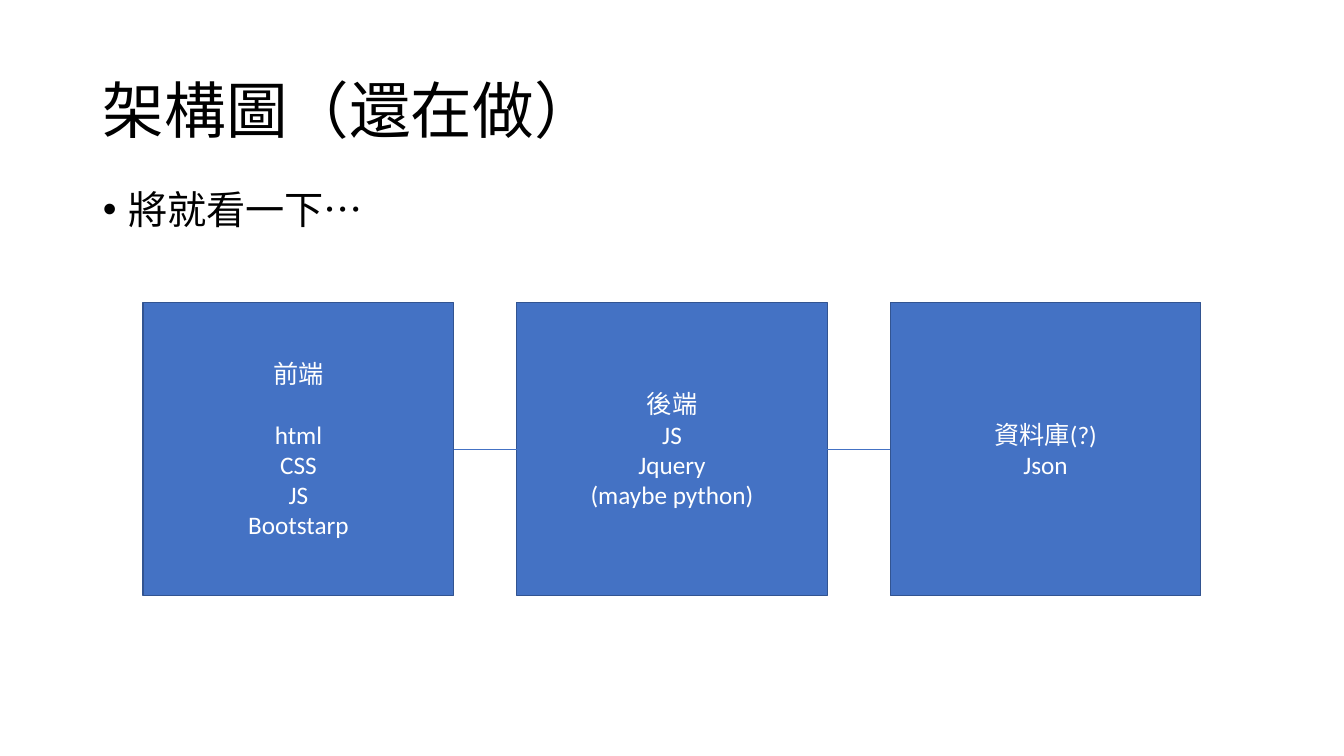
from lxml import etree
from pptx import Presentation
from pptx.dml.color import RGBColor
from pptx.enum.shapes import MSO_CONNECTOR, MSO_SHAPE
from pptx.enum.text import MSO_ANCHOR, PP_ALIGN
from pptx.oxml.ns import qn
from pptx.util import Inches, Pt

RECTANGLE = MSO_SHAPE.RECTANGLE
STRAIGHT = MSO_CONNECTOR.STRAIGHT
LEFT, CENTER = PP_ALIGN.LEFT, PP_ALIGN.CENTER
TOP, MIDDLE = MSO_ANCHOR.TOP, MSO_ANCHOR.MIDDLE

FONT = "Calibri"
COLORS = {"ink": "000000", "tier": "4472C4", "border": "325491", "label": "FFFFFF"}

TIERS = [
    ("前端", ["html", "CSS", "JS", "Bootstarp"], 21.6),
    ("後端", ["JS", "Jquery", "(maybe python)"], 0),
    ("資料庫(?)", ["Json"], 0),
]
TIERS_LEFT, TIERS_RIGHT, TIER_TOP = 1.42, 11.91, 3
TIER_WIDTH, TIER_HEIGHT = 3.08, 2.91
TIER_GAP = (TIERS_RIGHT - TIERS_LEFT - len(TIERS) * TIER_WIDTH) / (len(TIERS) - 1)


def rgb(name):
    return RGBColor.from_string(COLORS[name])


def write_text(frame, lines, *, size, color="ink", align=LEFT, anchor=TOP,
               line_spacing=1.0, before=0, first_after=0):
    frame.word_wrap = True
    frame.vertical_anchor = anchor
    for index, line in enumerate(lines):
        paragraph = frame.paragraphs[0] if index == 0 else frame.add_paragraph()
        paragraph.alignment = align
        paragraph.line_spacing = line_spacing
        paragraph.space_before = Pt(before)
        paragraph.space_after = Pt(first_after if index == 0 else 0)
        run = paragraph.add_run()
        run.text = line
        run.font.name = FONT
        run.font.size = Pt(size)
        run.font.color.rgb = rgb(color)


def place(placeholder, left, top, width, height):
    placeholder.left, placeholder.top = Inches(left), Inches(top)
    placeholder.width, placeholder.height = Inches(width), Inches(height)


def add_bullet(paragraph, indent):
    properties = paragraph._p.get_or_add_pPr()
    properties.set("marL", str(Inches(indent)))
    properties.set("indent", str(-Inches(indent)))
    etree.SubElement(properties, qn("a:buFont")).set("typeface", "Arial")
    etree.SubElement(properties, qn("a:buChar")).set("char", "•")


def add_tier(slide, left, heading, technologies, heading_gap):
    tier = slide.shapes.add_shape(RECTANGLE, Inches(left), Inches(TIER_TOP),
                                  Inches(TIER_WIDTH), Inches(TIER_HEIGHT))
    tier.shadow.inherit = False
    tier.fill.solid()
    tier.fill.fore_color.rgb = rgb("tier")
    tier.line.color.rgb = rgb("border")
    tier.line.width = Pt(1)
    write_text(tier.text_frame, [heading, *technologies], size=18, color="label",
               align=CENTER, anchor=MIDDLE, first_after=heading_gap)
    return tier


def link_tiers(slide, source, target):
    middle = Inches(TIER_TOP + TIER_HEIGHT / 2)
    link = slide.shapes.add_connector(STRAIGHT, source.left + source.width, middle,
                                      target.left, middle)
    link.begin_connect(source, 3)
    link.end_connect(target, 1)
    link.line.color.rgb = rgb("tier")
    link.line.width = Pt(0.5)
    etree.SubElement(link._element.spPr, qn("a:effectLst"))


def main():
    deck = Presentation()
    deck.slide_width, deck.slide_height = Inches(13.33), Inches(7.5)
    slide = deck.slides.add_slide(deck.slide_layouts[1])

    title, remark = slide.shapes.title, slide.placeholders[1]
    place(title, 0.92, 0.4, 11.5, 1.45)
    write_text(title.text_frame, ["架構圖（還在做）"], size=44, anchor=MIDDLE,
               line_spacing=0.9)
    place(remark, 0.92, 1.84, 11.5, 4.76)
    write_text(remark.text_frame, ["將就看一下…"], size=28, line_spacing=0.9, before=10)
    add_bullet(remark.text_frame.paragraphs[0], 0.25)

    tiers = [add_tier(slide, TIERS_LEFT + index * (TIER_WIDTH + TIER_GAP), *content)
             for index, content in enumerate(TIERS)]
    for source, target in zip(tiers, tiers[1:]):
        link_tiers(slide, source, target)

    deck.save("out.pptx")


if __name__ == "__main__":
    main()
